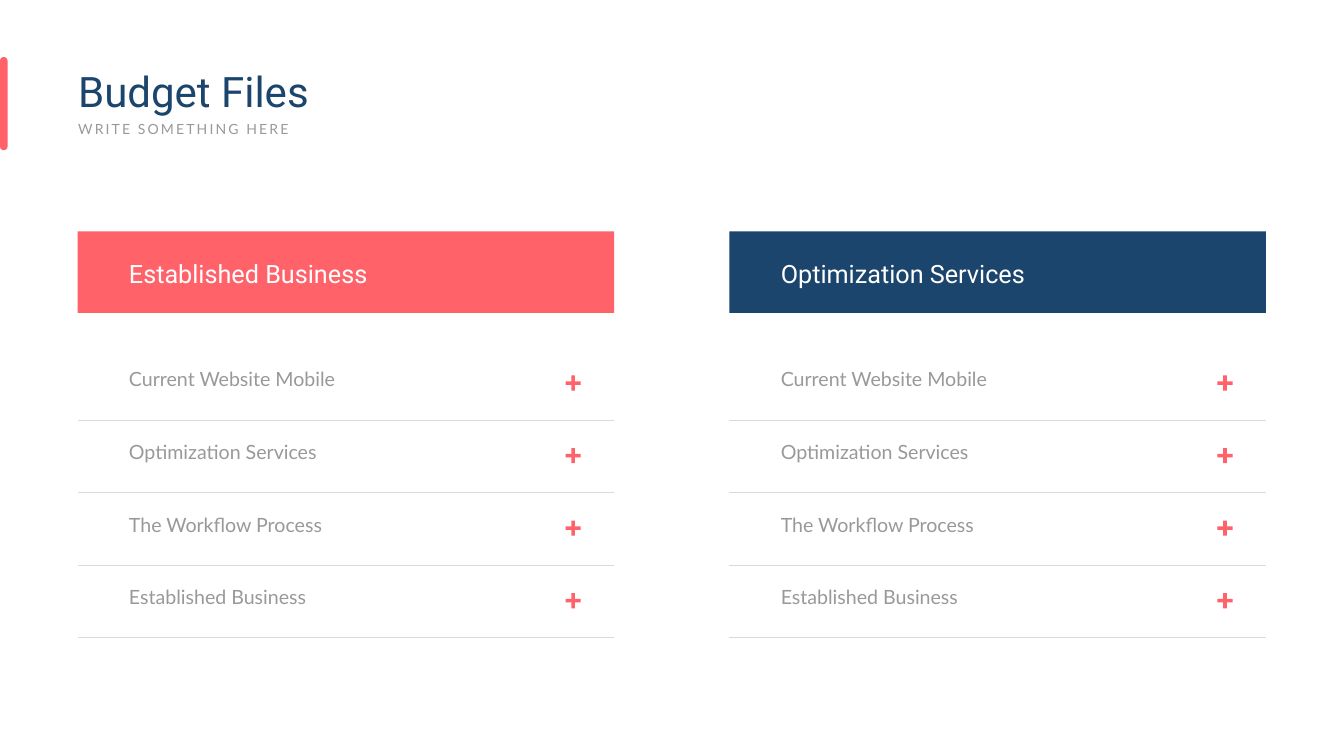
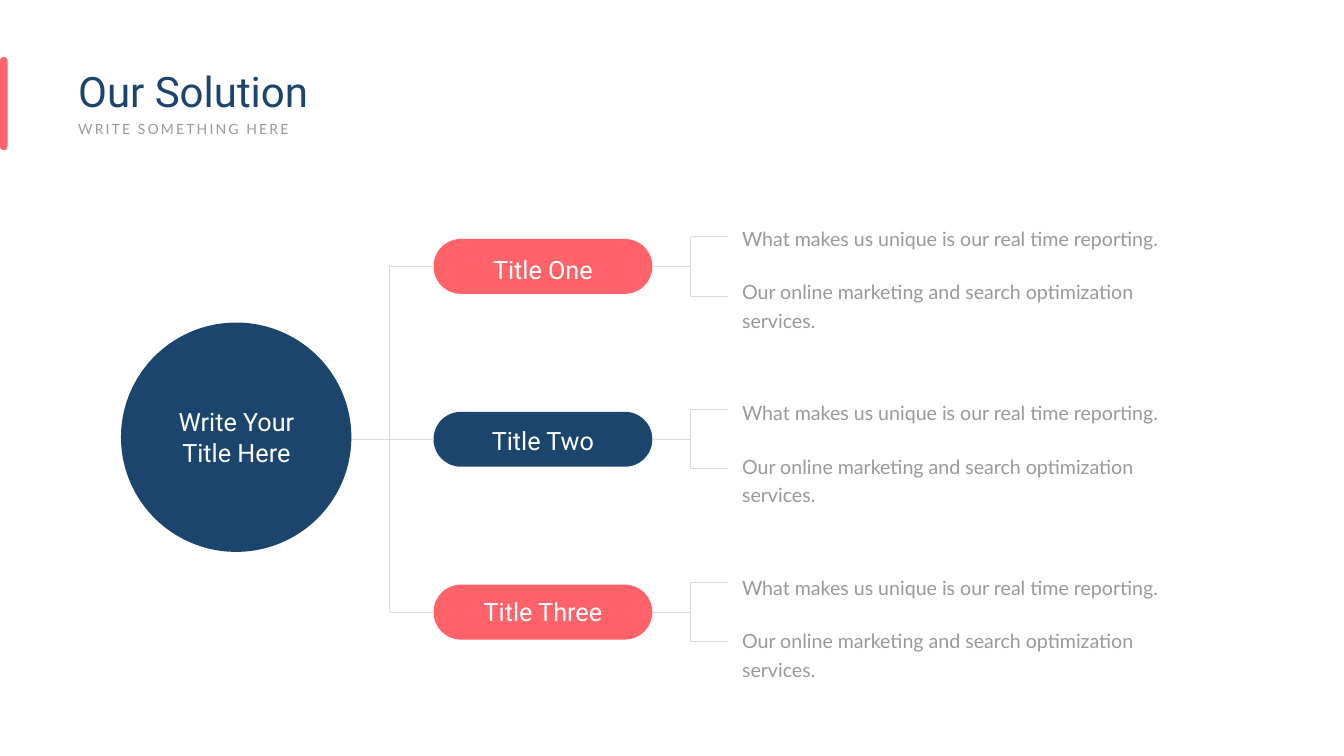
import dataclasses

import lxml.etree
import pptx
import pptx.dml.color
import pptx.enum.shapes
import pptx.enum.text
import pptx.oxml.ns
import pptx.util

Inches = pptx.util.Inches
Pt = pptx.util.Pt
RGBColor = pptx.dml.color.RGBColor
MSO_SHAPE = pptx.enum.shapes.MSO_SHAPE
PP_ALIGN = pptx.enum.text.PP_ALIGN
qn = pptx.oxml.ns.qn

NAVY = RGBColor(0x1C, 0x45, 0x6D)
CORAL = RGBColor(0xFF, 0x62, 0x69)
GRAY = RGBColor(0x99, 0x99, 0x99)
RULE = RGBColor(0xD9, 0xD9, 0xD9)
WHITE = RGBColor(0xFF, 0xFF, 0xFF)

LEFT, RIGHT = 1, 3


@dataclasses.dataclass(frozen=True)
class Style:
    font: str
    size: float
    color: RGBColor
    align: PP_ALIGN = PP_ALIGN.LEFT
    spacing: float | None = None
    tracking: int = 0
    inset_x: float = 0.1
    inset_y: float = 0.05


@dataclasses.dataclass(frozen=True)
class Column:
    left: float
    heading: str
    color: RGBColor


@dataclasses.dataclass(frozen=True)
class Branch:
    title: str
    color: RGBColor


TITLE = Style("Roboto", 60, NAVY)
SUBTITLE = Style("Lato", 20, GRAY, tracking=300)
HEADING = Style("Roboto", 36, WHITE)
LABEL = Style("Roboto", 36, WHITE, align=PP_ALIGN.CENTER)
ITEM = Style("Lato", 28, GRAY)
LEAD = Style("Lato", 28, GRAY, spacing=43, inset_x=0.24, inset_y=0.12)
DETAIL = dataclasses.replace(LEAD, spacing=40.8)

COLUMNS = [
    Column(1.54, "Established Business", CORAL),
    Column(14.47, "Optimization Services", NAVY),
]
ITEMS = [
    "Current Website Mobile",
    "Optimization Services",
    "The Workflow Process",
    "Established Business",
]
COLUMN_W = 10.64
ROW_PITCH = 1.44

BRANCHES = [
    Branch("Title One", CORAL),
    Branch("Title Two", NAVY),
    Branch("Title Three", CORAL),
]
PILL_W, PILL_H = 4.34, 1.09
TRUNK_X = 7.73
BRACKET_X = 13.7
BRACKET_TIP_X = 14.44
BRACKET_HALF = 0.59


def write(sp, text: str, style: Style) -> None:
    tf = sp.text_frame
    tf.word_wrap = True
    tf.auto_size = pptx.enum.text.MSO_AUTO_SIZE.NONE
    tf.vertical_anchor = pptx.enum.text.MSO_ANCHOR.TOP
    tf.margin_left = tf.margin_right = Inches(style.inset_x)
    tf.margin_top = tf.margin_bottom = Inches(style.inset_y)
    p = tf.paragraphs[0]
    p.alignment = style.align
    p.space_before = Pt(0)
    p.line_spacing = Pt(style.spacing) if style.spacing else 1.0
    r = p.add_run()
    r.text = text
    r.font.name = style.font
    r.font.size = Pt(style.size)
    r.font.color.rgb = style.color
    if style.tracking:
        r.font._element.set("spc", str(style.tracking))


def add_text(slide, x: float, y: float, w: float, h: float, text: str, style: Style) -> None:
    sp = slide.shapes.add_textbox(Inches(x), Inches(y), Inches(w), Inches(h))
    write(sp, text, style)


def fill_placeholder(sp, x: float, y: float, w: float, h: float, text: str, style: Style) -> None:
    sp.left, sp.top, sp.width, sp.height = Inches(x), Inches(y), Inches(w), Inches(h)
    pPr = sp.text_frame.paragraphs[0]._p.get_or_add_pPr()
    pPr.set("marL", "0")
    pPr.set("indent", "0")
    lxml.etree.SubElement(pPr, qn("a:buNone"))
    write(sp, text, style)


def add_block(slide, kind: MSO_SHAPE, x: float, y: float, w: float, h: float, color: RGBColor):
    sp = slide.shapes.add_shape(kind, Inches(x), Inches(y), Inches(w), Inches(h))
    sp.fill.solid()
    sp.fill.fore_color.rgb = color
    sp.line.fill.background()
    sp.shadow.inherit = False
    if kind == MSO_SHAPE.ROUNDED_RECTANGLE:
        sp.adjustments[0] = 0.5
    return sp


def add_line(slide, x1: float, y1: float, x2: float, y2: float, width: float):
    line = slide.shapes.add_connector(
        pptx.enum.shapes.MSO_CONNECTOR.STRAIGHT, Inches(x1), Inches(y1), Inches(x2), Inches(y2)
    )
    line.line.color.rgb = RULE
    line.line.width = Pt(width)
    lxml.etree.SubElement(line._element.spPr, qn("a:effectLst"))
    return line


def add_plus(slide, cx: float, cy: float) -> None:
    for w, h in ((0.3, 0.07), (0.07, 0.3)):
        add_block(slide, MSO_SHAPE.RECTANGLE, cx - w / 2, cy - h / 2, w, h, CORAL)


def add_slide(prs, title: str):
    slide = prs.slides.add_slide(prs.slide_layouts[1])
    fill_placeholder(slide.shapes.title, 1.45, 1.24, 9.76, 1.11, title, TITLE)
    fill_placeholder(
        slide.placeholders[1], 1.45, 2.35, 5.85, 0.44, "WRITE SOMETHING HERE", SUBTITLE
    )
    add_block(slide, MSO_SHAPE.ROUNDED_RECTANGLE, 0, 1.13, 0.15, 1.85, CORAL)
    return slide


def add_column(slide, column: Column) -> None:
    x = column.left
    text_x = x + 0.92
    add_block(slide, MSO_SHAPE.RECTANGLE, x, 4.59, COLUMN_W, 1.62, column.color)
    add_text(slide, text_x, 5.07, 5.84, 0.71, column.heading, HEADING)
    for i, item in enumerate(ITEMS):
        dy = i * ROW_PITCH
        add_text(slide, text_x, 7.24 + dy, 5.84, 0.57, item, ITEM)
        add_plus(slide, x + 9.83, 7.6 + dy)
        add_line(slide, x, 8.33 + dy, x + COLUMN_W, 8.33 + dy, 0.5)


def add_branch(slide, i: int, branch: Branch) -> None:
    x, y = 8.6, 4.74 + i * 3.43
    mid = y + PILL_H / 2
    top, bottom = mid - BRACKET_HALF, mid + BRACKET_HALF
    pill = add_block(slide, MSO_SHAPE.ROUNDED_RECTANGLE, x, y, PILL_W, PILL_H, branch.color)
    add_line(slide, TRUNK_X, mid, x, mid, 1).end_connect(pill, LEFT)
    add_line(slide, x + PILL_W, mid, BRACKET_X, mid, 1.5).begin_connect(pill, RIGHT)
    add_line(slide, BRACKET_X, top, BRACKET_X, bottom, 1.5)
    for tip_y in (top, bottom):
        add_line(slide, BRACKET_X, tip_y, BRACKET_TIP_X, tip_y, 1.5)
    add_text(slide, 9.33, 4.99 + i * 3.4, 2.88, 0.71, branch.title, LABEL)
    text_y = 4.25 + i * 3.46
    add_text(
        slide, 14.48, text_y, 8.84, 0.79, "What makes us unique is our real time reporting.", LEAD
    )
    add_text(
        slide, 14.48, text_y + 1.09, 9.78, 0.75,
        "Our online marketing and search optimization services.", DETAIL,
    )


def build_budget(prs) -> None:
    slide = add_slide(prs, "Budget Files")
    for column in COLUMNS:
        add_column(slide, column)


def build_solution(prs) -> None:
    slide = add_slide(prs, "Our Solution")
    add_line(slide, TRUNK_X, 5.28, TRUNK_X, 12.14, 1)
    add_line(slide, 6.24, 8.71, TRUNK_X, 8.71, 1)
    add_block(slide, MSO_SHAPE.OVAL, 2.4, 6.4, 4.57, 4.55, NAVY)
    add_text(slide, 3.25, 8.02, 2.88, 1.31, "Write Your Title Here", LABEL)
    for i, branch in enumerate(BRANCHES):
        add_branch(slide, i, branch)


def main() -> None:
    prs = pptx.Presentation()
    prs.slide_width, prs.slide_height = Inches(26.66), Inches(15)
    build_budget(prs)
    build_solution(prs)
    prs.save("out.pptx")


if __name__ == "__main__":
    main()
